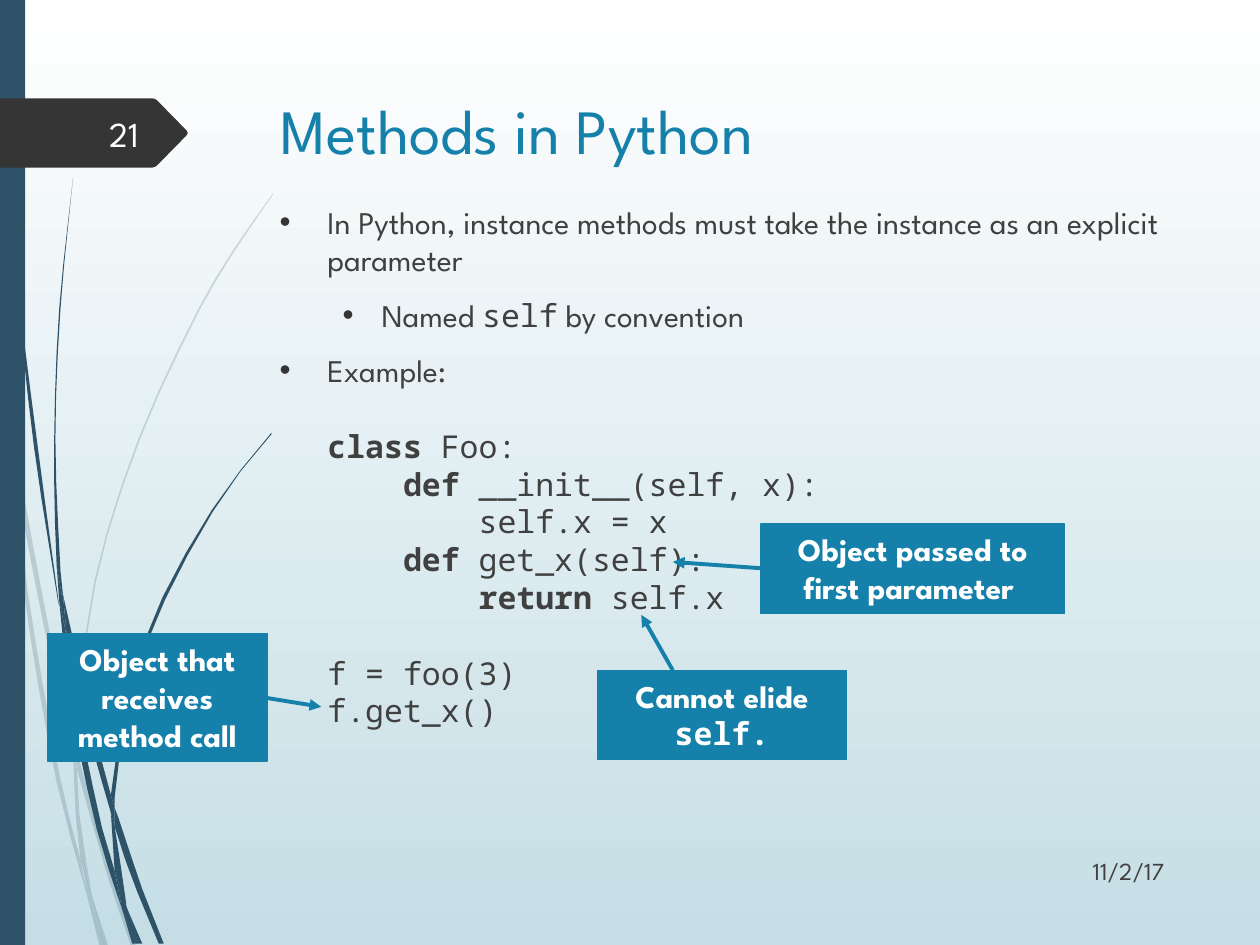
from math import ceil, dist

from lxml import etree
from pptx import Presentation
from pptx.dml.color import RGBColor
from pptx.enum.shapes import MSO_CONNECTOR, MSO_SHAPE
from pptx.enum.text import MSO_ANCHOR, MSO_AUTO_SIZE, PP_ALIGN
from pptx.oxml.ns import qn
from pptx.util import Inches, Pt

RECTANGLE = MSO_SHAPE.RECTANGLE
STRAIGHT = MSO_CONNECTOR.STRAIGHT
TOP, MIDDLE = MSO_ANCHOR.TOP, MSO_ANCHOR.MIDDLE
LEFT, CENTER, RIGHT = PP_ALIGN.LEFT, PP_ALIGN.CENTER, PP_ALIGN.RIGHT
GROW = MSO_AUTO_SIZE.SHAPE_TO_FIT_TEXT
COLORS = {"accent": "1581AA", "strand": "2E5369", "dark": "353535", "text": "404040",
          "white": "FFFFFF", "number": "FEFFFF", "sky": "C5DEE5"}
SANS, MONO = "League Spartan", "Noto Sans Mono"
BLANK_LINE = 21.6

# Each strand has two smooth edges, one running down and one running back up
PALE_STRANDS = [
    ([(0.08, 3.5), (0.06, 3.22), (0, 2.82)], [(0, 2.99), (0.07, 3.44)]),
    ([(0.1, 3.45), (0.43, 5.2), (0.59, 5.86)], [(0.59, 5.99), (0.4, 5.22), (0.12, 3.76)]),
    ([(0.61, 6.1), (0.85, 6.94), (1.04, 7.51)],
     [(1.08, 7.51), (0.88, 6.92), (0.64, 6.07), (0.61, 5.96)]),
    ([(0.73, 7.11), (0.83, 7.51)], [(0.86, 7.51)]),
    ([(0.08, 3.5), (0.19, 4.7), (0.45, 6.21), (0.7, 7.14)],
     [(0.64, 6.83), (0.48, 6.19), (0.22, 4.69), (0.12, 3.76)]),
    ([(0.58, 5.99), (0.6, 6.46), (0.64, 6.83), (0.73, 7.11)],
     [(0.72, 7.06), (0.63, 6.46), (0.61, 6.1)]),
    ([(2.17, 1.53), (1.86, 1.97), (1.58, 2.44), (1.1, 3.48), (0.75, 4.61), (0.59, 5.84)],
     [(0.61, 5.96), (0.61, 5.84), (0.76, 4.62), (1.11, 3.49), (1.59, 2.45), (1.87, 1.98),
      (2.17, 1.54)]),
    ([(0.7, 7.14), (0.79, 7.51)], [(0.82, 7.51)]),
    ([(0.59, 5.86), (0.58, 5.99), (0.61, 6.08)], [(0.61, 5.96)]),
    ([(0.65, 6.83), (0.7, 7.14), (0.82, 7.51)], [(0.83, 7.51), (0.73, 7.11), (0.67, 6.92)]),
]
DARK_STRANDS = [
    ([(0.02, 0), (0.05, 1.1), (0.14, 2.33), (0.27, 3.55), (0.46, 4.77)],
     [(0.47, 4.81), (0.3, 3.55), (0.15, 2.32), (0.06, 1.09), (0.03, 0)]),
    ([(0.5, 4.72), (0.53, 5.05), (0.73, 5.92), (0.88, 6.45)], [(0.88, 6.31), (0.77, 5.9)]),
    ([(0.91, 6.41), (0.91, 6.56), (1.09, 7.08), (1.26, 7.49)],
     [(1.3, 7.49), (1.13, 7.06), (0.94, 6.49)]),
    ([(0.47, 4.77), (0.56, 5.57), (0.77, 6.59), (0.97, 7.22)],
     [(0.91, 6.91), (0.81, 6.57), (0.6, 5.56), (0.53, 5.05)]),
    ([(0.58, 1.41), (0.47, 2.45), (0.43, 3.49), (0.45, 4.49), (0.49, 4.72)],
     [(0.5, 4.72), (0.48, 4.53), (0.44, 3.49), (0.48, 2.45)]),
    ([(1, 7.19), (1.1, 7.49)], [(1.13, 7.49)]),
    ([(0.45, 4.49), (0.47, 4.77), (0.53, 5.05)], [(0.5, 4.72), (0.49, 4.72)]),
    ([(2.15, 3.44), (1.91, 3.73), (1.68, 4.05), (1.29, 4.74), (1.01, 5.51), (0.88, 6.31)],
     [(0.91, 6.41), (0.91, 6.33), (1.03, 5.52), (1.31, 4.76), (1.69, 4.06), (1.91, 3.74),
      (2.16, 3.44)]),
    ([(0.97, 7.22), (1.05, 7.49)], [(1.08, 7.49)]),
    ([(0.88, 6.45), (0.91, 6.91), (1, 7.19)], [(1, 7.16), (0.91, 6.56)]),
    ([(0.88, 6.31), (0.88, 6.45), (0.91, 6.56)], [(0.91, 6.41)]),
    ([(0.91, 6.91), (0.97, 7.22), (1.08, 7.49)], [(1.1, 7.49), (0.96, 7.06)]),
]


def rgb(name):
    return RGBColor.from_string(COLORS[name])


def add_text(paragraph, text, size=18, font=SANS, color="text", bold=False):
    run = paragraph.add_run()
    run.text = text
    run.font.size, run.font.name, run.font.bold = Pt(size), font, bold
    run.font.color.rgb = rgb(color)


def prepare_frame(shape, anchor=TOP, align=LEFT):
    frame = shape.text_frame
    frame.word_wrap, frame.vertical_anchor = True, anchor
    frame.paragraphs[0].alignment = align
    return frame


def paint(shape, color, line=None):
    shape.shadow.inherit = False
    shape.fill.solid()
    shape.fill.fore_color.rgb = rgb(color)
    if line:
        shape.line.color.rgb, shape.line.width = rgb(color), Pt(line)
    else:
        shape.line.fill.background()


def smooth_curve(points, spacing=0.5):
    """Sample a smooth curve that passes through all the points."""
    slopes = []
    for index in range(len(points)):
        before, after = points[max(index - 1, 0)], points[min(index + 1, len(points) - 1)]
        length = dist(before, points[index]) + dist(points[index], after) or 1
        slopes.append([(b - a) / length for a, b in zip(before, after)])
    samples = [points[0]]
    for index, (start, end) in enumerate(zip(points, points[1:])):
        length = dist(start, end)
        steps = ceil(length / spacing)
        for t in (step / steps for step in range(1, steps + 1)):
            samples.append(tuple(
                (2 * t**3 - 3 * t**2 + 1) * a + (3 * t**2 - 2 * t**3) * b
                + length * ((t**3 - 2 * t**2 + t) * m + (t**3 - t**2) * n)
                for a, b, m, n in zip(start, end, slopes[index], slopes[index + 1])))
    return samples


def draw_outline(shapes, points, color, left=0, top=0):
    vertices = [(Inches(left + x), Inches(top + y)) for x, y in points]
    builder = shapes.build_freeform(*vertices[0])
    builder.add_line_segments(vertices[1:], close=True)
    shape = builder.convert_to_shape()
    paint(shape, color)
    return shape


def draw_strands(slide, strands, left=0, top=0, opacity=None):
    group = slide.shapes.add_group_shape()
    for down, up in strands:
        # A strand that closes on its starting tip needs that point for its second edge
        outline = smooth_curve(down) + smooth_curve(up + down[:1])[:-1]
        shape = draw_outline(group.shapes, outline, "strand", left, top)
        if opacity:
            color = shape._element.spPr.find(qn("a:solidFill"))[0]
            etree.SubElement(color, qn("a:alpha"), val=str(opacity * 1000))


def draw_number_tag(slide, left, top, width, height):
    shoulder, middle = width - 0.26, height / 2
    points = [(0, 0), (shoulder - 0.02, 0), (shoulder + 0.01, 0.01),
              (width - 0.01, middle - 0.02), (width, middle), (width - 0.01, middle + 0.02),
              (shoulder + 0.01, height - 0.01), (shoulder - 0.02, height), (0, height)]
    draw_outline(slide.shapes, points, "dark", left, top)


def draw_label(slide, box, text, anchor=TOP, align=LEFT, **text_format):
    shape = slide.shapes.add_textbox(*map(Inches, box))
    add_text(prepare_frame(shape, anchor, align).paragraphs[0], text, **text_format)


def draw_body(slide, box):
    plain, code, keyword = {}, {"font": MONO}, {"font": MONO, "bold": True}
    # Left edge, bullet hang, space before, runs
    lines = [
        (0.38, 0.38, 10, [("In Python, instance methods must take the instance as an "
                           "explicit parameter", plain)]),
        (0.81, 0.31, 10, [("Named ", plain), ("self", code), (" by convention", plain)]),
        (0.38, 0.38, 10, [("Example:", plain)]),
        (0.38, 0, BLANK_LINE, [("class ", keyword), ("Foo:", code)]),
        (0.98, 0, 0, [("def ", keyword), ("__init__(self, x):", code)]),
        (1.58, 0, 0, [("self.x = x", code)]),
        (0.98, 0, 0, [("def ", keyword), ("get_x(self):", code)]),
        (1.58, 0, 0, [("return ", keyword), ("self.x", code)]),
        (0.38, 0, BLANK_LINE, [("f = foo(3)", code)]),
        (0.38, 0, 0, [("f.get_x()", code)]),
    ]
    frame = prepare_frame(slide.shapes.add_textbox(*map(Inches, box)))
    for index, (indent, hang, space, runs) in enumerate(lines):
        paragraph = frame.add_paragraph() if index else frame.paragraphs[0]
        paragraph.space_before = Pt(space)
        properties = paragraph._p.get_or_add_pPr()
        properties.set("marL", str(Inches(indent)))
        properties.set("indent", str(-Inches(hang)))
        if hang:
            color = etree.SubElement(properties, qn("a:buClr"))
            etree.SubElement(color, qn("a:srgbClr"), val=COLORS["dark"])
            etree.SubElement(properties, qn("a:buFont"), typeface="Arial")
            etree.SubElement(properties, qn("a:buChar"), char="•")
        for text, text_format in runs:
            add_text(paragraph, text, **text_format)


def draw_callout(slide, box, runs, start, end):
    shape = slide.shapes.add_shape(RECTANGLE, *map(Inches, box))
    paint(shape, "accent", line=0.75)
    frame = prepare_frame(shape, align=CENTER)
    frame.auto_size = GROW
    for text, font in runs:
        add_text(frame.paragraphs[0], text, font=font, color="white", bold=True)
    # Arrow, from and to points measured from the callout's corner
    ends = [Inches(box[axis] + point[axis]) for point in (start, end) for axis in (0, 1)]
    arrow = slide.shapes.add_connector(STRAIGHT, *ends)
    arrow.line.color.rgb, arrow.line.width = rgb("accent"), Pt(2.25)
    properties = arrow._element.spPr
    etree.SubElement(properties.find(qn("a:ln")), qn("a:tailEnd"), type="triangle")
    etree.SubElement(properties, qn("a:effectLst"))


def main():
    presentation = Presentation()
    presentation.slide_width, presentation.slide_height = Inches(10), Inches(7.5)
    slide = presentation.slides.add_slide(presentation.slide_layouts[6])
    # Background and side decoration
    background = slide.background.fill
    background.gradient()
    background.gradient_angle = 270
    for stop, color in zip(background.gradient_stops, ("white", "sky")):
        stop.color.rgb = rgb(color)
    draw_strands(slide, PALE_STRANDS, opacity=20)
    draw_strands(slide, DARK_STRANDS)
    paint(slide.shapes.add_shape(RECTANGLE, 0, 0, Inches(0.2), Inches(7.5)), "strand")
    draw_number_tag(slide, 0, 0.78, 1.49, 0.55)
    # Text
    draw_label(slide, (2.13, 0.68, 7.21, 0.75), "Methods in Python", size=36, color="accent")
    draw_body(slide, (2.12, 1.56, 7.21, 5))
    draw_label(slide, (8.01, 6.71, 1.33, 0.4), "11/2/17", MIDDLE, RIGHT, size=14)
    draw_label(slide, (0.56, 0.86, 0.64, 0.4), "21", MIDDLE, RIGHT, size=20, color="number")
    # Callouts
    draw_callout(slide, (0.38, 5.03, 1.74, 1.01),
                 [("Object that receives method call", SANS)], (1.74, 0.51), (2.17, 0.58))
    draw_callout(slide, (6.04, 4.16, 2.41, 0.71),
                 [("Object passed to first parameter ", SANS)], (0, 0.35), (-0.7, 0.3))
    draw_callout(slide, (4.74, 5.32, 1.98, 0.71),
                 [("Cannot elide ", SANS), ("self.", MONO)], (0.6, 0), (0.35, -0.44))
    presentation.save("out.pptx")


if __name__ == "__main__":
    main()
